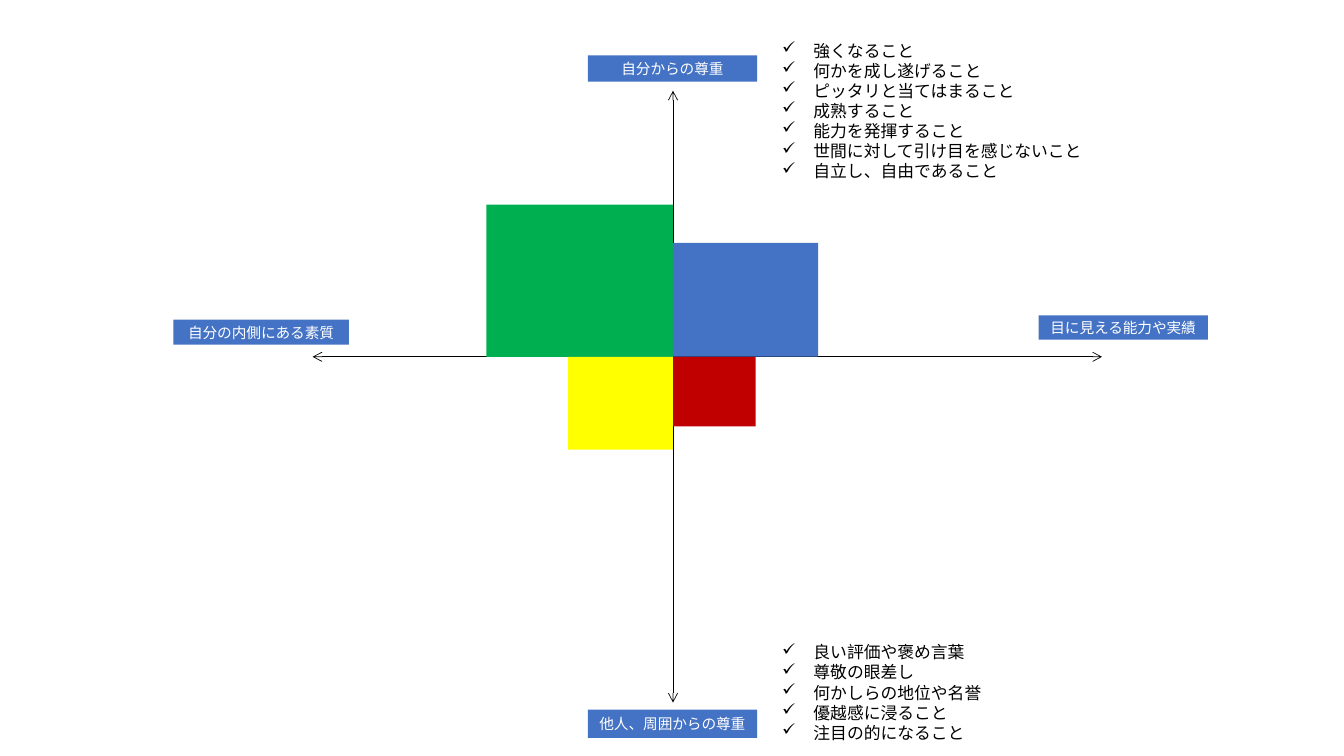
from pptx import Presentation
from pptx.dml.color import RGBColor as RGB
from pptx.enum.shapes import MSO_CONNECTOR as CONN, MSO_SHAPE as SHAPE
from pptx.enum.text import MSO_ANCHOR as ANCHOR, PP_ALIGN as ALIGN
from pptx.oxml.ns import qn
from pptx.util import Inches, Pt
from lxml.etree import SubElement

THEME = dict(
    font="Noto Sans CJK JP", label_size=10.5, list_size=12, line_pitch=14.4, axis_width=0.5,
    blue="4472C4", green="00B050", yellow="FFFF00", red="C00000", black="000000", white="FFFFFF",
)

prs = Presentation()
prs.slide_width, prs.slide_height = Inches(13.33), Inches(7.5)
s = prs.slides.add_slide(prs.slide_layouts[6])
cx, cy = 13.33 / 2 + 0.01, 3.54


def add_rect(x, y, w, h, color):
    sp = s.shapes.add_shape(SHAPE.RECTANGLE, Inches(x), Inches(y), Inches(w), Inches(h))
    sp.shadow.inherit = False
    sp.fill.solid()
    sp.fill.fore_color.rgb = RGB.from_string(THEME[color])
    sp.line.fill.background()
    return sp


def style_run(r, size, color):
    r.font.size = Pt(THEME[size])
    r.font.name = THEME["font"]
    r.font.color.rgb = RGB.from_string(THEME[color])
    SubElement(r.font._element, qn("a:ea"), typeface=THEME["font"])


for x1, y1, x2, y2 in [(3.1, cy, 10.93, cy), (cx, 0.9, cx, 6.97)]:
    axis = s.shapes.add_connector(CONN.STRAIGHT, Inches(x1), Inches(y1), Inches(x2), Inches(y2))
    axis.line.width = Pt(THEME["axis_width"])
    axis.line.color.rgb = RGB.from_string(THEME["black"])
    ln = axis.line._get_or_add_ln()
    for end in ("a:headEnd", "a:tailEnd"):
        SubElement(ln, qn(end), type="arrow")
    SubElement(axis._element.spPr, qn("a:effectLst"))

quadrants = [
    (-1, -1, 1.85, 1.51, "green"),
    (1, -1, 1.44, 1.13, "blue"),
    (-1, 1, 1.04, 0.92, "yellow"),
    (1, 1, 0.82, 0.69, "red"),
]
for side, level, w, h, color in quadrants:
    add_rect(cx - w * (side < 0), cy - h * (level < 0), w, h, color)

labels = [
    ("自分からの尊重", 5.83, 0.55, 1.68, 0.26),
    ("他人、周囲からの尊重", 5.83, 7.04, 1.68, 0.28),
    ("自分の内側にある素質", 1.72, 3.17, 1.74, 0.25),
    ("目に見える能力や実績", 10.3, 3.13, 1.68, 0.24),
]
for text, x, y, w, h in labels:
    tf = add_rect(x, y, w, h, "blue").text_frame
    tf.margin_left = tf.margin_right = tf.margin_top = tf.margin_bottom = 0
    tf.vertical_anchor = ANCHOR.MIDDLE
    tf.text = text
    p = tf.paragraphs[0]
    p.alignment = ALIGN.CENTER
    style_run(p.runs[0], "label_size", "white")

lists = [
    (0.35, 3.47, 1.51, [
        "強くなること", "何かを成し遂げること", "ピッタリと当てはまること", "成熟すること",
        "能力を発揮すること", "世間に対して引け目を感じないこと", "自立し、自由であること",
    ]),
    (6.32, 2.42, 1.11, [
        "良い評価や褒め言葉", "尊敬の眼差し", "何かしらの地位や名誉",
        "優越感に浸ること", "注目の的になること",
    ]),
]
for y, w, h, items in lists:
    tf = s.shapes.add_textbox(Inches(7.66), Inches(y), Inches(w), Inches(h)).text_frame
    tf.word_wrap = True
    tf.text = "\n".join(items)
    for p in tf.paragraphs:
        p.line_spacing = Pt(THEME["line_pitch"])
        pPr = p._p.get_or_add_pPr()
        pPr.set("marL", str(Inches(0.31)))
        pPr.set("indent", str(-Inches(0.31)))
        SubElement(pPr, qn("a:buChar"), char="✓")
        style_run(p.runs[0], "list_size", "black")

prs.save("out.pptx")
